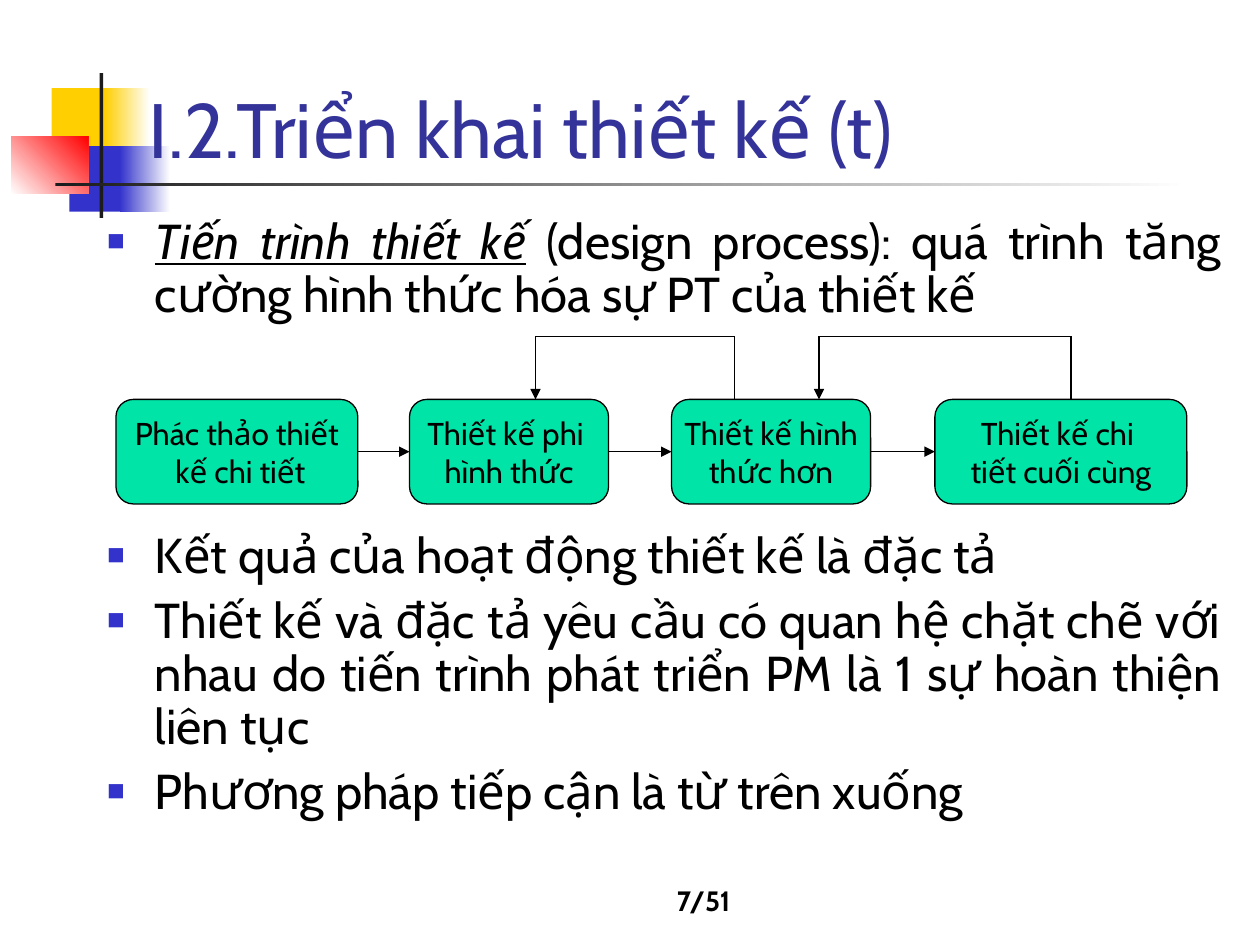
from lxml.etree import SubElement
from pptx import Presentation
from pptx.dml.color import RGBColor
from pptx.enum.shapes import MSO_CONNECTOR, MSO_SHAPE
from pptx.enum.text import MSO_ANCHOR as Anchor, MSO_AUTO_SIZE, PP_ALIGN as Align
from pptx.oxml.ns import qn
from pptx.util import Inches, Pt

FONT = "Cabin"
COLORS = {
    "black": "000000", "white": "FFFFFF", "bar": "1C1C1C", "yellow": "FFCF01",
    "blue": "3333CC", "red": "FF0000", "title": "333399", "box": "00E4A8",
}
# left, top, width, height, colours (two make a gradient), gradient angle
DECORATION = [
    (0.41, 0.7, 0.48, 0.52, ["yellow"], 0),
    (0.83, 0.7, 0.36, 0.52, ["yellow", "white"], 0),
    (0.55, 1.16, 0.46, 0.52, ["blue"], 0),
    (0.95, 1.16, 0.4, 0.52, ["blue", "white"], 0),
    (0.09, 1.08, 0.61, 0.46, ["white", "red"], 45),
    (0.79, 0.58, 0.03, 1.15, ["bar"], 0),
    (0.44, 1.45, 9, 0.03, ["bar", "white"], 0),
]
# Space before (points) and (text, emphasized) runs; the second leaves room for the flow
BULLETS = [
    (0, [("Tiến trình thiết kế", True),
         (" (design process): quá trình tăng cường hình thức hóa sự PT của thiết kế", False)]),
    (119, [("Kết quả của hoạt động thiết kế là đặc tả", False)]),
    (7, [("Thiết kế và đặc tả yêu cầu có quan hệ chặt chẽ với nhau do tiến trình "
          "phát triển PM là 1 sự hoàn thiện liên tục", False)]),
    (7, [("Phương pháp tiếp cận là từ trên xuống", False)]),
]
STEPS = [
    (0.92, 1.92, "Phác thảo thiết\n kế chi tiết"),
    (3.25, 1.58, "Thiết kế phi \nhình thức"),
    (5.33, 1.58, "Thiết kế hình\nthức hơn"),
    (7.42, 2, "Thiết kế chi \ntiết cuối cùng"),
]
STEP_TOP, STEP_HEIGHT, LOOP_TOP = 3.17, 0.83, 2.67
LOOPS = [(5.83, 4.25), (8.5, 6.5)]  # from x, back to x


def color(name):
    return RGBColor.from_string(COLORS[name])


def place(shape, left, top, width, height):
    shape.left, shape.top = Inches(left), Inches(top)
    shape.width, shape.height = Inches(width), Inches(height)


def style(paragraph, size, color_name="black", align=Align.CENTER, bold=False):
    paragraph.alignment = align
    font = paragraph.font
    font.name, font.size, font.bold = FONT, Pt(size), bold
    font.color.rgb = color(color_name)


def add_decoration(slide, left, top, width, height, names, angle):
    shape = slide.shapes.add_shape(
        MSO_SHAPE.RECTANGLE, Inches(left), Inches(top), Inches(width), Inches(height))
    shape.shadow.inherit = False
    shape.line.fill.background()
    if len(names) == 1:
        shape.fill.solid()
        shape.fill.fore_color.rgb = color(names[0])
        return
    shape.fill.gradient()
    shape.fill.gradient_angle = angle
    for stop, name in zip(shape.fill.gradient_stops, names):
        stop.color.rgb = color(name)


def add_bullet(paragraph):
    properties = paragraph._p.get_or_add_pPr()
    properties.set("marL", str(Inches(0.38)))
    properties.set("indent", str(Inches(-0.38)))
    bullet_color = SubElement(properties, qn("a:buClr"))
    SubElement(bullet_color, qn("a:srgbClr"), val=COLORS["blue"])
    SubElement(properties, qn("a:buSzPct"), val="60000")
    SubElement(properties, qn("a:buFont"), typeface="Arial")
    SubElement(properties, qn("a:buChar"), char="■")


def fill_title(title):
    place(title, 1.08, 0.5, 8.67, 0.93)
    frame = title.text_frame
    frame.text = "I.2.Triển khai thiết kế (t)"
    frame.vertical_anchor = Anchor.BOTTOM
    frame.auto_size = MSO_AUTO_SIZE.NONE
    style(frame.paragraphs[0], 44, "title", Align.LEFT)


def fill_body(body):
    place(body, 0.75, 1.67, 9.04, 5.25)
    frame = body.text_frame
    frame.auto_size = MSO_AUTO_SIZE.NONE
    for index, (space, runs) in enumerate(BULLETS):
        paragraph = frame.add_paragraph() if index else frame.paragraphs[0]
        add_bullet(paragraph)
        paragraph.line_spacing = 0.9
        paragraph.space_before = Pt(space)
        style(paragraph, 28, align=Align.JUSTIFY)
        for text, emphasized in runs:
            run = paragraph.add_run()
            run.text = text
            if emphasized:
                run.font.italic = run.font.underline = True


def add_step(slide, left, width, text):
    shape = slide.shapes.add_shape(
        MSO_SHAPE.FLOWCHART_ALTERNATE_PROCESS,
        Inches(left), Inches(STEP_TOP), Inches(width), Inches(STEP_HEIGHT))
    shape.shadow.inherit = False
    shape.fill.solid()
    shape.fill.fore_color.rgb = color("box")
    shape.line.color.rgb = color("black")
    shape.line.width = Pt(0.75)
    frame = shape.text_frame
    frame.word_wrap = False
    frame.vertical_anchor = Anchor.MIDDLE
    frame.text = text
    for paragraph in frame.paragraphs:
        style(paragraph, 18)
    return shape


def add_line(slide, start, end, arrow=False):
    line = slide.shapes.add_connector(
        MSO_CONNECTOR.STRAIGHT, *(Inches(value) for value in (*start, *end)))
    line.line.color.rgb = color("black")
    line.line.width = Pt(0.75)
    if arrow:
        SubElement(line.line._get_or_add_ln(), qn("a:tailEnd"), type="triangle")
    SubElement(line._element.spPr, qn("a:effectLst"))
    return line


def add_flow(slide):
    steps = [add_step(slide, *step) for step in STEPS]
    for before, after in zip(steps, steps[1:]):
        arrow = add_line(slide, (0, 0), (1, 0), arrow=True)
        arrow.begin_connect(before, 3)
        arrow.end_connect(after, 1)
    for start, back in LOOPS:
        add_line(slide, (start, STEP_TOP), (start, LOOP_TOP))
        add_line(slide, (start, LOOP_TOP), (back, LOOP_TOP))
        add_line(slide, (back, LOOP_TOP), (back, STEP_TOP), arrow=True)


def add_page_number(slide):
    box = slide.shapes.add_textbox(Inches(4), Inches(6.83), Inches(3.17), Inches(0.5))
    frame = box.text_frame
    frame.word_wrap = True
    frame.vertical_anchor = Anchor.BOTTOM
    frame.text = "7/51"
    style(frame.paragraphs[0], 16, bold=True)


def main():
    presentation = Presentation()
    presentation.slide_width, presentation.slide_height = Inches(10), Inches(7.5)
    slide = presentation.slides.add_slide(presentation.slide_layouts[1])
    title, body = slide.shapes.title, slide.placeholders[1]
    for part in DECORATION:
        add_decoration(slide, *part)
    for placeholder in (body, title):  # bring the text in front of the decoration
        slide.shapes._spTree.append(placeholder._element)
    fill_title(title)
    fill_body(body)
    add_flow(slide)
    add_page_number(slide)
    presentation.save("out.pptx")


if __name__ == "__main__":
    main()
